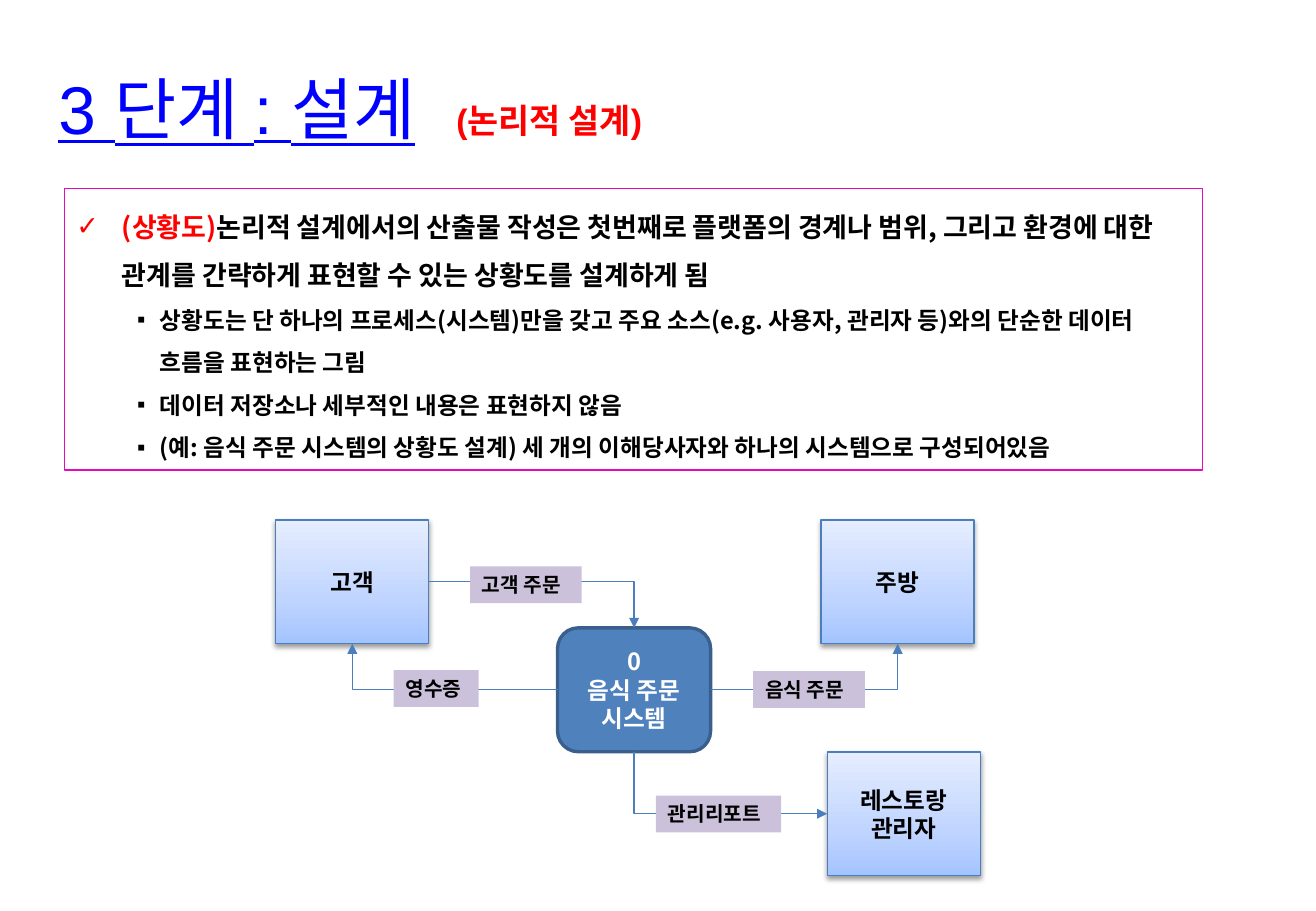
from copy import deepcopy
from dataclasses import dataclass

from lxml import etree
from pptx import Presentation
from pptx import util as u
from pptx.dml.color import RGBColor
from pptx.enum import shapes, text
from pptx.oxml.ns import qn

KOREAN = "Noto Sans CJK KR"
BLACK, WHITE, RED, BLUE = "000000", "FFFFFF", "FF0000", "0000FF"
EDGE = "4B7EBC"
NODE_WIDTH, NODE_HEIGHT = 90.7, 73.4
LABEL_HEIGHT = 21.8
TOP, MIDDLE = text.MSO_ANCHOR.TOP, text.MSO_ANCHOR.MIDDLE
LEFT, CENTER = text.PP_ALIGN.LEFT, text.PP_ALIGN.CENTER


@dataclass(frozen=True)
class Node:
    """A box of the context diagram."""
    left: float
    top: float
    lines: tuple[str, ...]

    def side(self, across: float, down: float) -> tuple[float, float]:
        """Return the point at the given fractions of the box."""
        return self.left + across * NODE_WIDTH, self.top + down * NODE_HEIGHT


@dataclass(frozen=True)
class Flow:
    """A labelled data flow with one bend."""
    start: tuple[float, float]
    end: tuple[float, float]
    label: str
    label_left: float
    label_top: float
    label_width: float
    vertical_first: bool = False


@dataclass(frozen=True)
class Bullet:
    """A bulleted paragraph made of (text, colour) runs."""
    level: int
    mark: str
    size: float
    margin: float
    hanging: float
    runs: tuple[tuple[str, str], ...]


def color(value: str) -> RGBColor:
    """Turn a hex string into a colour."""
    return RGBColor.from_string(value)


def add_run(para, words: str, size: float, tint: str, bold=True, face=KOREAN):
    """Add one formatted run and return it."""
    span = para.add_run()
    span.text = words
    span.font.size, span.font.bold, span.font.name = u.Pt(size), bold, face
    span.font.color.rgb = color(tint)
    east = etree.SubElement(span.font._element, qn("a:ea"))
    east.set("typeface", KOREAN)
    return span


def set_frame(box, anchor, wrap=True):
    """Set anchor and wrapping, and return the text frame."""
    frame = box.text_frame
    frame.word_wrap, frame.vertical_anchor = wrap, anchor
    frame.auto_size = text.MSO_AUTO_SIZE.NONE
    return frame


def add_box(page, kind, left, top, width, height, fill=None, line=None, weight=0.75):
    """Add a preset shape without a shadow."""
    box = page.shapes.add_shape(kind, *map(u.Pt, (left, top, width, height)))
    box.shadow.inherit = False
    if fill:
        box.fill.solid()
        box.fill.fore_color.rgb = color(fill)
    else:
        box.fill.background()
    if line:
        box.line.color.rgb, box.line.width = color(line), u.Pt(weight)
    else:
        box.line.fill.background()
    return box


def add_glow(box):
    """Give a box the pale blue gradient and a soft shadow below."""
    box.fill.gradient()
    box.fill.gradient_angle = 90
    stops = box._element.spPr.find(qn("a:gradFill")).find(qn("a:gsLst"))
    stops.insert(1, deepcopy(stops[0]))
    shades = ((0, "A4C4FF"), (0.35, "BFD4FF"), (1, "E6EEFF"))
    for stop, (position, tint) in zip(box.fill.gradient_stops, shades):
        stop.position, stop.color.rgb = position, color(tint)
    effects = box._element.spPr.find(qn("a:effectLst"))
    shadow = etree.SubElement(effects, qn("a:outerShdw"), blurRad=str(u.Pt(3.1)),
                              dist=str(u.Pt(1.6)), dir="5400000", rotWithShape="0")
    shade = etree.SubElement(shadow, qn("a:srgbClr"), val=BLACK)
    etree.SubElement(shade, qn("a:alpha"), val="38000")


def add_node(page, node: Node, is_process=False):
    """Draw an outside party, or the central process."""
    place = (node.left, node.top, NODE_WIDTH, NODE_HEIGHT)
    if is_process:
        box = add_box(page, shapes.MSO_SHAPE.ROUNDED_RECTANGLE, *place, "4F81BD", "3A5F8C", 2)
    else:
        box = add_box(page, shapes.MSO_SHAPE.RECTANGLE, *place, line=EDGE)
        add_glow(box)
    frame = set_frame(box, MIDDLE)
    for index, line in enumerate(node.lines):
        para = frame.add_paragraph() if index else frame.paragraphs[0]
        para.alignment = CENTER
        add_run(para, line, 14, WHITE if is_process else BLACK)


def add_arrow(page, flow: Flow):
    """Draw the bent arrow of a flow."""
    (x1, y1), (x2, y2) = flow.start, flow.end
    if flow.vertical_first:
        # The frame is turned a quarter, so its sides swap around the centre.
        middle_x, middle_y = (x1 + x2) / 2, (y1 + y2) / 2
        half_x, half_y = (y2 - y1) / 2, (x2 - x1) / 2
        x1, x2 = middle_x + half_x, middle_x - half_x
        y1, y2 = middle_y - half_y, middle_y + half_y
    arrow = page.shapes.add_connector(shapes.MSO_CONNECTOR.ELBOW, *map(u.Pt, (x1, y1, x2, y2)))
    arrow.line.color.rgb, arrow.line.width = color(EDGE), u.Pt(0.75)
    properties = arrow._element.spPr
    properties.find(qn("a:prstGeom")).set("prst", "bentConnector2")
    if flow.vertical_first:
        properties.find(qn("a:xfrm")).set("rot", "16200000")
    etree.SubElement(properties.find(qn("a:ln")), qn("a:tailEnd"), type="triangle")
    etree.SubElement(properties, qn("a:effectLst"))


def add_label(page, flow: Flow):
    """Draw the name of a flow on its line."""
    box = add_box(page, shapes.MSO_SHAPE.RECTANGLE, flow.label_left, flow.label_top,
                  flow.label_width, LABEL_HEIGHT, "CCC1DA")
    para = set_frame(box, TOP, wrap=False).paragraphs[0]
    para.alignment = LEFT
    add_run(para, flow.label, 12, BLACK)


def add_bullet(para, bullet: Bullet):
    """Fill one paragraph of the explanation."""
    para.level, para.line_spacing, para.alignment = bullet.level, 1.5, LEFT
    properties = para._element.get_or_add_pPr()
    properties.set("marL", str(u.Pt(bullet.margin)))
    properties.set("indent", str(-u.Pt(bullet.hanging)))
    etree.SubElement(properties, qn("a:buFont"), typeface="Arial")
    etree.SubElement(properties, qn("a:buChar"), char=bullet.mark)
    for words, tint in bullet.runs:
        add_run(para, words, bullet.size, tint)


def detail(words: str) -> Bullet:
    """Return a second-level bullet."""
    return Bullet(1, "▪", 14, 49.5, 13.5, ((words, BLACK),))


customer = Node(163.5, 308.2, ("고객",))
kitchen = Node(486.7, 308.2, ("주방",))
manager = Node(490.3, 445.7, ("레스토랑", "관리자"))
system = Node(330.5, 372.2, ("0", "음식 주문", "시스템"))
flows = (
    Flow(customer.side(1, 0.5), system.side(0.5, 0), "고객 주문", 278.6, 335.8, 66.2),
    Flow(system.side(0, 0.5), customer.side(0.5, 1), "영수증", 233.3, 397.2, 50.4),
    Flow(system.side(0.5, 1), manager.side(0, 0.5), "관리리포트", 388.8, 471.6, 74.2, True),
    Flow(system.side(1, 0.5), kitchen.side(0.5, 1), "음식 주문", 446.4, 397.8, 66.2),
)
bullets = (
    Bullet(0, "✓", 16, 27, 27, (
        ("(상황도)", RED),
        ("논리적 설계에서의 산출물 작성은 첫번째로 플랫폼의 경계나 범위, 그리고 환경에 "
         "대한 관계를 간략하게 표현할 수 있는 상황도를 설계하게 됨", BLACK))),
    detail("상황도는 단 하나의 프로세스(시스템)만을 갖고 주요 소스(e.g. 사용자, 관리자 등)와의 "
           "단순한 데이터 흐름을 표현하는 그림"),
    detail("데이터 저장소나 세부적인 내용은 표현하지 않음"),
    detail("(예: 음식 주문 시스템의 상황도 설계) 세 개의 이해당사자와 하나의 시스템으로 구성되어있음"),
)

deck = Presentation()
deck.slide_width, deck.slide_height = u.Pt(780), u.Pt(540)
page = deck.slides.add_slide(deck.slide_layouts.get_by_name("Title Only"))

title = page.shapes.title
title.left, title.top, title.width, title.height = map(u.Pt, (27.4, 36, 629.3, 55.4))
heading = set_frame(title, TOP).paragraphs[0]
heading.alignment = LEFT
add_run(heading, "3 단계 : 설계", 40, BLUE, bold=False, face="Arial").font.underline = True

subtitle = page.shapes.add_textbox(*map(u.Pt, (263.5, 55.4, 136.8, 31.7)))
add_run(set_frame(subtitle, TOP, wrap=False).paragraphs[0], "(논리적 설계)", 20, RED, face="Arial")

explanation = add_box(page, shapes.MSO_SHAPE.RECTANGLE, 38.2, 111.6, 674.6, 167, line="E50BBB")
body = set_frame(explanation, TOP)
for index, bullet in enumerate(bullets):
    add_bullet(body.add_paragraph() if index else body.paragraphs[0], bullet)

for node in (customer, kitchen, manager, system):
    add_node(page, node, is_process=node is system)
for flow in flows:
    add_arrow(page, flow)
for flow in flows:
    add_label(page, flow)

deck.save("out.pptx")
